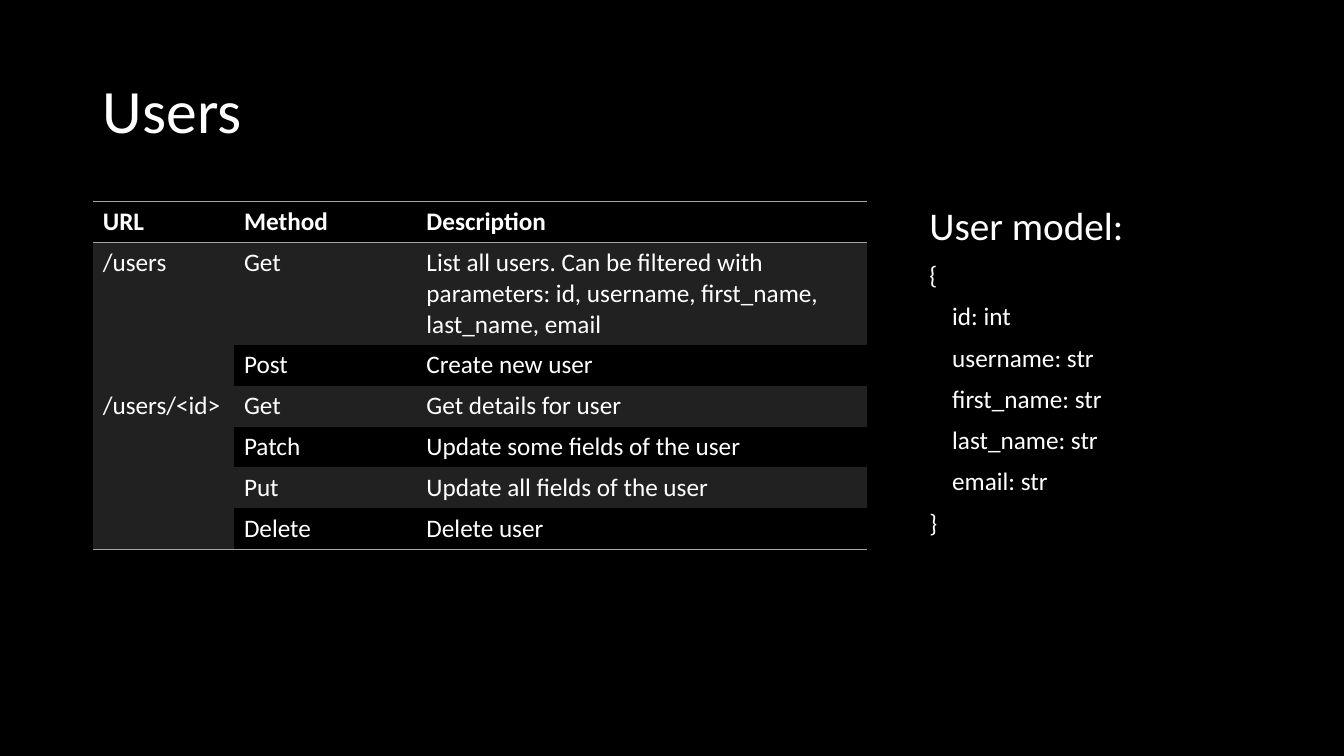
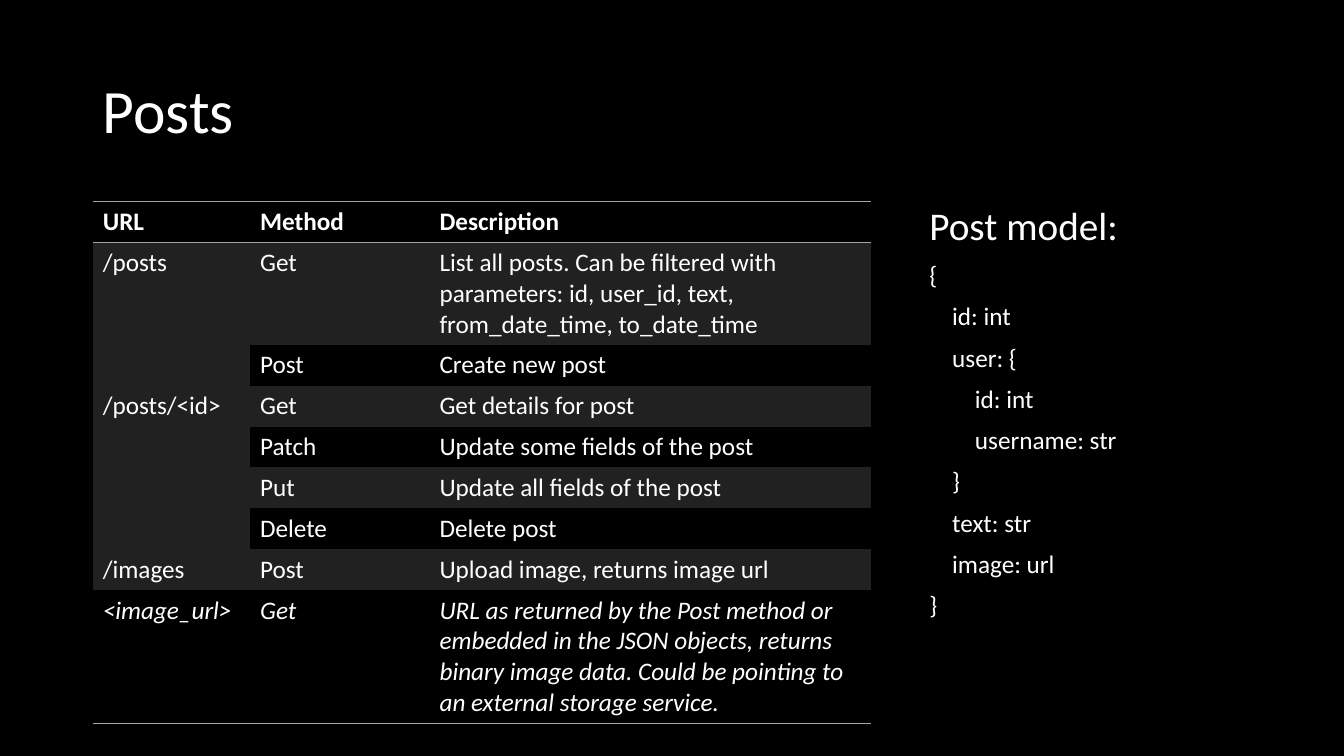
"""Build two API reference slides: an endpoint table beside its data model."""
from lxml.etree import SubElement
from pptx import Presentation
from pptx.dml.color import RGBColor
from pptx.enum.text import MSO_ANCHOR, PP_ALIGN
from pptx.oxml.ns import qn
from pptx.util import Inches, Pt

BLACK = RGBColor(0x00, 0x00, 0x00)
WHITE = RGBColor(0xFF, 0xFF, 0xFF)
BAND = RGBColor(0x21, 0x21, 0x21)
RULE = RGBColor(0xA5, 0xA5, 0xA5)
FONT = "Calibri"
PLAIN_TABLE = "{2D5ABB26-0587-4C30-8999-92F81FD0307C}"

WIDTH, HEIGHT = 13.33, 7.5
MARGIN, TOP = 0.92, 2
MODEL_LEFT, MODEL_WIDTH, MODEL_HEIGHT = 9.12, 3.3, 4.76
ROW_HEIGHT, INDENT = 0.4, 0.226

HEADERS = ("URL", "Method", "Description")
SLIDES = [
    {
        "title": "Users",
        "columns": (1.4, 1.81, 4.47),
        "endpoints": [
            ("/users", [
                ("Get", "List all users. Can be filtered with parameters: "
                        "id, username, first_name, last_name, email"),
                ("Post", "Create new user"),
            ]),
            ("/users/<id>", [
                ("Get", "Get details for user"),
                ("Patch", "Update some fields of the user"),
                ("Put", "Update all fields of the user"),
                ("Delete", "Delete user"),
            ]),
        ],
        "italic_urls": (),
        "model": "User model:",
        "fields": [(0, "{"), (1, "id: int"), (1, "username: str"),
                   (1, "first_name: str"), (1, "last_name: str"),
                   (1, "email: str"), (0, "}")],
    },
    {
        "title": "Posts",
        "columns": (1.56, 1.78, 4.38),
        "endpoints": [
            ("/posts", [
                ("Get", "List all posts. Can be filtered with parameters: "
                        "id, user_id, text, from_date_time, to_date_time"),
                ("Post", "Create new post"),
            ]),
            ("/posts/<id>", [
                ("Get", "Get details for post"),
                ("Patch", "Update some fields of the post"),
                ("Put", "Update all fields of the post"),
                ("Delete", "Delete post"),
            ]),
            ("/images", [("Post", "Upload image, returns image url")]),
            ("<image_url>", [
                ("Get", "URL as returned by the Post method or embedded in "
                        "the JSON objects, returns binary image data. Could "
                        "be pointing to an external storage service."),
            ]),
        ],
        "italic_urls": ("<image_url>",),
        "model": "Post model:",
        "fields": [(0, "{"), (1, "id: int"), (1, "user: {"), (2, "id: int"),
                   (2, "username: str"), (1, "}"), (1, "text: str"),
                   (1, "image: url"), (0, "}")],
    },
]


def apply(target, values):
    for name, value in values.items():
        setattr(target, name, value)


def write(para, text, size, **extra):
    span = para.add_run()
    span.text = text
    apply(span.font, {"name": FONT, "size": Pt(size), **extra})
    span.font.color.rgb = WHITE


def add_title(page, text):
    title = page.shapes.title
    apply(title, {"left": Inches(MARGIN), "top": Inches(0.4),
                  "width": Inches(11.5), "height": Inches(1.45)})
    title.text_frame.vertical_anchor = MSO_ANCHOR.MIDDLE
    para = title.text_frame.paragraphs[0]
    apply(para, {"alignment": PP_ALIGN.LEFT, "line_spacing": 0.9})
    write(para, text, 44)


def add_rule(cell, side):
    line = SubElement(cell._tc.get_or_add_tcPr(), qn(f"a:{side}"), w=str(Pt(1)))
    fill = SubElement(line, qn("a:solidFill"))
    SubElement(fill, qn("a:srgbClr"), val=str(RULE))


def add_endpoints(page, columns, endpoints, italic_urls):
    rows = [HEADERS]
    merges = []
    italic_rows = set()
    for url, methods in endpoints:
        first = len(rows)
        rows += [(url if index == 0 else "", *method)
                 for index, method in enumerate(methods)]
        if len(methods) > 1:
            merges.append((first, len(rows) - 1))
        if url in italic_urls:
            italic_rows.update(range(first, len(rows)))

    table = page.shapes.add_table(
        len(rows), len(columns), Inches(MARGIN), Inches(TOP),
        Inches(sum(columns)), Inches(ROW_HEIGHT * len(rows))).table
    apply(table, {"first_row": False, "horz_banding": False})
    table._tbl.tblPr.find(qn("a:tableStyleId")).text = PLAIN_TABLE
    for column, width in zip(table.columns, columns):
        column.width = Inches(width)
    for first, last in merges:
        table.cell(first, 0).merge(table.cell(last, 0))

    last_row = len(rows) - 1
    for row, texts in enumerate(rows):
        for column, text in enumerate(texts):
            cell = table.cell(row, column)
            bottom = row + (cell.span_height if cell.is_merge_origin else 1) - 1
            if row == 0:
                add_rule(cell, "lnT")
            if row == 0 or bottom == last_row:
                add_rule(cell, "lnB")
            cell.fill.solid()
            cell.fill.fore_color.rgb = BAND if row % 2 else BLACK
            if text:
                write(cell.text_frame.paragraphs[0], text, 18,
                      bold=row == 0, italic=row in italic_rows)


def add_model(page, heading, fields):
    box = page.shapes.add_textbox(Inches(MODEL_LEFT), Inches(TOP),
                                  Inches(MODEL_WIDTH), Inches(MODEL_HEIGHT))
    frame = box.text_frame
    frame.word_wrap = True
    lines = [(0, heading, 28)] + [(level, text, 18) for level, text in fields]
    for index, (level, text, size) in enumerate(lines):
        para = frame.add_paragraph() if index else frame.paragraphs[0]
        apply(para, {"line_spacing": 0.9, "space_before": Pt(10)})
        para._p.get_or_add_pPr().set("marL", str(Inches(INDENT * level)))
        write(para, text, size)


def main():
    deck = Presentation()
    apply(deck, {"slide_width": Inches(WIDTH), "slide_height": Inches(HEIGHT)})
    backdrop = deck.slide_master.background.fill
    backdrop.solid()
    backdrop.fore_color.rgb = BLACK
    for content in SLIDES:
        page = deck.slides.add_slide(deck.slide_layouts[5])
        add_title(page, content["title"])
        add_endpoints(page, content["columns"], content["endpoints"],
                      content["italic_urls"])
        add_model(page, content["model"], content["fields"])
    deck.save("out.pptx")


if __name__ == "__main__":
    main()
